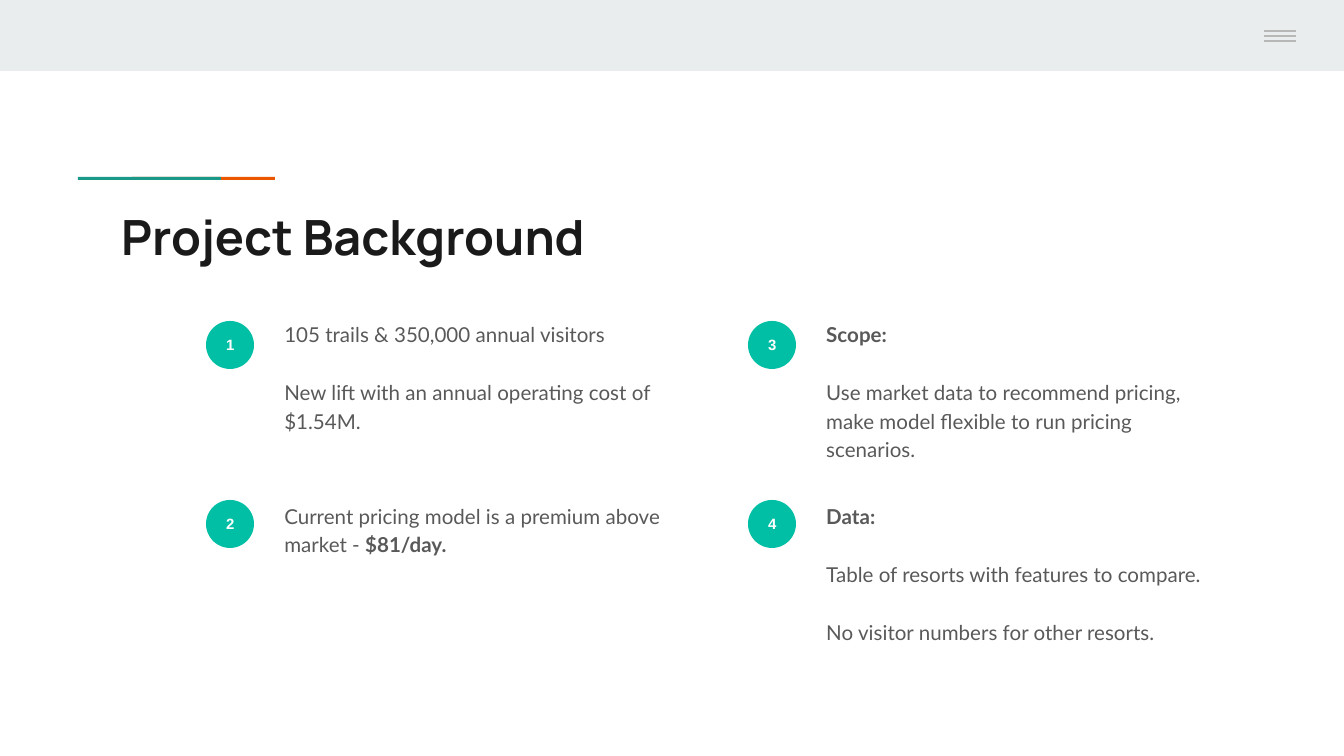
from dataclasses import dataclass

from lxml import etree
from pptx import Presentation
from pptx.dml.color import RGBColor
from pptx.enum import shapes, text
from pptx.oxml import ns
from pptx import util as u

EMU_PER_PX = 914400 / 134.4

BAND = RGBColor(0xE9, 0xED, 0xEE)
ORANGE = RGBColor(0xEB, 0x56, 0x00)
TEAL = RGBColor(0x1A, 0x99, 0x88)
BADGE = RGBColor(0x00, 0xBF, 0xA5)
MENU = RGBColor(0xB7, 0xB7, 0xB7)
INK = RGBColor(0x1A, 0x1A, 0x1A)
BODY = RGBColor(0x59, 0x59, 0x59)
WHITE = RGBColor(0xFF, 0xFF, 0xFF)

COLUMNS = (206, 748)
BADGE_ROWS = (321, 500)
TEXT_ROWS = (305, 487)
BADGE_SIZE = 48
TEXT_OFFSET = 65
PARAGRAPH_GAP = u.Pt(16)


@dataclass(frozen=True)
class Run:
    words: str
    bold: bool = False


@dataclass(frozen=True)
class Point:
    number: int
    paragraphs: tuple[tuple[Run, ...], ...]


POINTS = (
    Point(1, (
        (Run("105 trails & 350,000 annual visitors"),),
        (Run("New lift with an annual operating cost of $1.54M."),),
    )),
    Point(2, (
        (Run("Current pricing model is a premium above market - "),
         Run("$81/day.", bold=True)),
    )),
    Point(3, (
        (Run("Scope:", bold=True),),
        (Run("Use market data to recommend pricing, make model flexible "
             "to run pricing scenarios."),),
    )),
    Point(4, (
        (Run("Data:", bold=True),),
        (Run("Table of resorts with features to compare."),),
        (Run("No visitor numbers for other resorts."),),
    )),
)


def px(length: int) -> u.Emu:
    return u.Emu(round(length * EMU_PER_PX))


def add_filled(slide, kind, left: int, top: int, width: int, height: int,
               color: RGBColor):
    shape = slide.shapes.add_shape(kind, px(left), px(top), px(width), px(height))
    shape.shadow.inherit = False
    shape.fill.solid()
    shape.fill.fore_color.rgb = color
    shape.line.fill.background()
    return shape


def add_line(slide, left: int, right: int, y: int) -> None:
    line = slide.shapes.add_connector(
        shapes.MSO_CONNECTOR.STRAIGHT, px(left), px(y), px(right), px(y))
    line.line.color.rgb = MENU
    line.line.width = u.Pt(0.75)
    etree.SubElement(line._element.spPr, ns.qn("a:effectLst"))


def set_insets(frame) -> None:
    frame.word_wrap = True
    frame.margin_left = frame.margin_right = u.Inches(0.1)
    frame.margin_top = frame.margin_bottom = u.Inches(0.1)


def add_text_frame(slide, left: int, top: int, width: int, height: int):
    box = slide.shapes.add_textbox(px(left), px(top), px(width), px(height))
    set_insets(box.text_frame)
    return box.text_frame


def add_run(paragraph, words: str, font: str, size: int, color: RGBColor,
            bold: bool) -> None:
    run = paragraph.add_run()
    run.text = words
    run.font.name = font
    run.font.size = u.Pt(size)
    run.font.color.rgb = color
    run.font.bold = bold


def add_point(slide, point: Point) -> None:
    column, row = divmod(point.number - 1, len(BADGE_ROWS))
    left = COLUMNS[column]

    # Numbered badge
    badge = add_filled(slide, shapes.MSO_SHAPE.OVAL, left, BADGE_ROWS[row],
                       BADGE_SIZE, BADGE_SIZE, BADGE)
    frame = badge.text_frame
    set_insets(frame)
    frame.vertical_anchor = text.MSO_ANCHOR.MIDDLE
    paragraph = frame.paragraphs[0]
    paragraph.alignment = text.PP_ALIGN.CENTER
    add_run(paragraph, str(point.number), "Arial", 8, WHITE, True)

    # Description
    frame = add_text_frame(slide, left + TEXT_OFFSET, TEXT_ROWS[row], 417, 155)
    for index, runs in enumerate(point.paragraphs):
        paragraph = frame.add_paragraph() if index else frame.paragraphs[0]
        paragraph.line_spacing = 1.15
        if index:
            paragraph.space_before = PARAGRAPH_GAP
        for run in runs:
            add_run(paragraph, run.words, "Lato", 11, BODY, run.bold)
    paragraph.space_after = PARAGRAPH_GAP


def main() -> None:
    presentation = Presentation()
    presentation.slide_width = px(1344)
    presentation.slide_height = px(756)
    slide = presentation.slides.add_slide(presentation.slide_layouts[6])

    # Header band, with the overlapping two-colour accent below it
    rectangle = shapes.MSO_SHAPE.RECTANGLE
    add_filled(slide, rectangle, 0, 0, 1344, 71, BAND)
    add_filled(slide, rectangle, 132, 177, 143, 3, ORANGE)
    add_filled(slide, rectangle, 78, 177, 143, 3, TEAL)

    # Menu icon
    add_filled(slide, rectangle, 1218, 0, 126, 67, BAND)
    for index in range(3):
        add_line(slide, 1264, 1296, 31 + 5 * index)

    # Title
    title = add_text_frame(slide, 108, 194, 1130, 79)
    add_run(title.paragraphs[0], "Project Background", "Manrope", 26, INK, True)

    # Numbered points, filled column by column
    for point in POINTS:
        add_point(slide, point)

    presentation.save("out.pptx")


if __name__ == "__main__":
    main()
